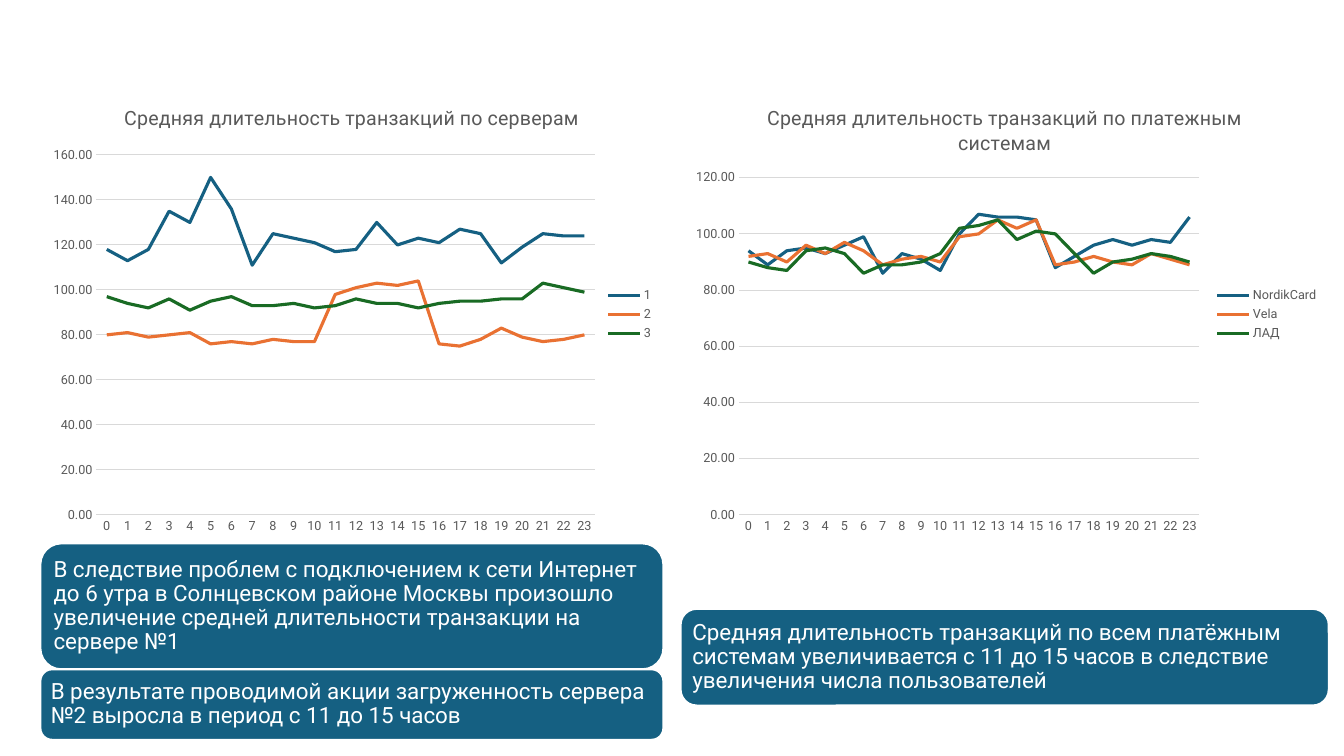
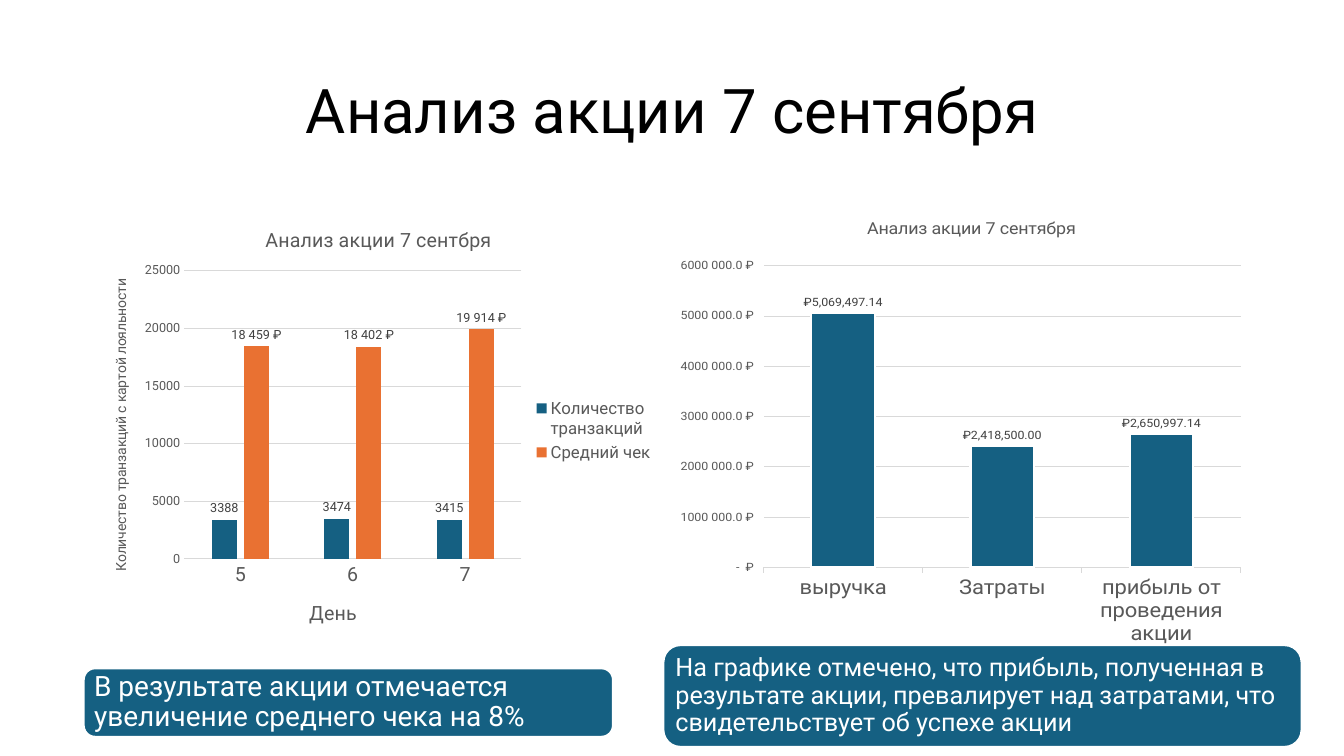
from dataclasses import dataclass
from typing import Optional

from pptx import Presentation
from pptx.chart.data import CategoryChartData
from pptx.dml.color import RGBColor
from pptx.enum.chart import XL_CHART_TYPE, XL_LABEL_POSITION, XL_LEGEND_POSITION, XL_TICK_MARK
from pptx.enum.shapes import MSO_SHAPE
from pptx.enum.text import MSO_ANCHOR, PP_ALIGN
from pptx.oxml import parse_xml
from pptx.oxml.ns import nsdecls
from pptx.util import Inches, Pt

FACE = "Roboto"
BLUE, ORANGE, GREEN = "156082", "E97132", "196B24"
WHITE, BLACK, GREY, DARK, RULE = "FFFFFF", "000000", "595959", "404040", "D9D9D9"
PALETTE = (BLUE, ORANGE, GREEN)
HOURS = tuple(str(hour) for hour in range(24))
ROUBLE = '#\\ ##0\\ "₽"'


@dataclass
class Series:
    name: str
    values: tuple
    format: str = "0"


@dataclass
class Graph:
    title: str
    area: tuple
    plot: tuple
    cats: tuple
    series: tuple
    top: float
    step: float
    format: str = "0.00"
    bars: bool = False
    size: int = 14
    label: int = 9
    legend: Optional[int] = 9
    gap: int = 150
    overlap: int = 0
    tick: XL_TICK_MARK = XL_TICK_MARK.NONE
    edge: bool = False
    below: str = ""
    side: str = ""


@dataclass
class Note:
    text: str
    area: tuple
    size: int = 16


def color(value: str) -> RGBColor:
    return RGBColor.from_string(value)


def style(font, size: float, tone: str) -> None:
    font.name = FACE
    font.size = Pt(size)
    font.bold = False
    font.color.rgb = color(tone)


def stroke(line, tone: str, width: float) -> None:
    line.color.rgb = color(tone)
    line.width = Pt(width)


def fill(shape, tone: str) -> None:
    shape.fill.solid()
    shape.fill.fore_color.rgb = color(tone)


def caption(owner, text: str, size: float) -> None:
    frame = owner.text_frame
    frame.text = text
    style(frame.paragraphs[0].font, size, GREY)


def place(chart, plot: tuple) -> None:
    area = chart.element.xpath(".//c:plotArea")[0]
    for old in area.xpath("./c:layout"):
        area.remove(old)
    sizes = "".join(f'<c:{key} val="{value}"/>' for key, value in zip("xywh", plot))
    area.insert(0, parse_xml(
        f'<c:layout {nsdecls("c")}><c:manualLayout><c:layoutTarget val="inner"/>'
        f'<c:xMode val="edge"/><c:yMode val="edge"/>{sizes}</c:manualLayout></c:layout>'))


def set_axes(chart, graph: Graph) -> None:
    base, scale = chart.category_axis, chart.value_axis
    for axis, size in ((base, graph.label), (scale, 9)):
        axis.major_tick_mark = graph.tick
        axis.minor_tick_mark = XL_TICK_MARK.NONE
        style(axis.tick_labels.font, size, GREY)
    stroke(base.format.line, RULE, 0.75)
    scale.format.line.fill.background()
    scale.has_major_gridlines = True
    stroke(scale.major_gridlines.format.line, RULE, 0.75)
    scale.minimum_scale = 0
    scale.maximum_scale = graph.top
    scale.major_unit = graph.step
    scale.tick_labels.number_format = graph.format
    scale.tick_labels.number_format_is_linked = False
    for axis, text, size in ((base, graph.below, 14), (scale, graph.side, 10)):
        axis.has_title = bool(text)
        if text:
            caption(axis.axis_title, text, size)


def set_bars(plot, graph: Graph) -> None:
    plot.gap_width = graph.gap
    plot.overlap = graph.overlap
    for item, data, tone in zip(plot.series, graph.series, PALETTE):
        fill(item.format, tone)
        if graph.edge:
            stroke(item.format.line, WHITE, 1.5)
        labels = item.data_labels
        labels.show_value = True
        labels.position = XL_LABEL_POSITION.OUTSIDE_END
        labels.number_format = data.format
        labels.number_format_is_linked = False
        style(labels.font, 9, DARK)


def add_graph(slide, graph: Graph) -> None:
    data = CategoryChartData()
    data.categories = graph.cats
    for item in graph.series:
        data.add_series(item.name, item.values)
    kind = XL_CHART_TYPE.COLUMN_CLUSTERED if graph.bars else XL_CHART_TYPE.LINE
    chart = slide.shapes.add_chart(kind, *map(Inches, graph.area), data).chart
    style(chart.font, 10, BLACK)
    chart.has_title = True
    caption(chart.chart_title, graph.title, graph.size)
    chart.has_legend = graph.legend is not None
    if graph.legend:
        chart.legend.position = XL_LEGEND_POSITION.RIGHT
        chart.legend.include_in_layout = False
        style(chart.legend.font, graph.legend, GREY)
    set_axes(chart, graph)
    place(chart, graph.plot)
    plot = chart.plots[0]
    plot.vary_by_categories = False
    if graph.bars:
        set_bars(plot, graph)
        return
    for item, tone in zip(plot.series, PALETTE):
        item.smooth = False
        stroke(item.format.line, tone, 2.25)


def add_note(slide, note: Note) -> None:
    box = slide.shapes.add_shape(MSO_SHAPE.ROUNDED_RECTANGLE, *map(Inches, note.area))
    box.shadow.inherit = False
    fill(box, BLUE)
    stroke(box.line, WHITE, 1.5)
    frame = box.text_frame
    frame.word_wrap = True
    frame.vertical_anchor = MSO_ANCHOR.MIDDLE
    frame.margin_left = frame.margin_right = Inches(0.07)
    frame.margin_top = frame.margin_bottom = Inches(0.07)
    frame.text = note.text
    para = frame.paragraphs[0]
    para.alignment = PP_ALIGN.LEFT
    para.line_spacing = 0.9
    style(para.font, note.size, WHITE)


def add_title(slide, text: str) -> None:
    title = slide.shapes.title
    title.left, title.top, title.width, title.height = map(Inches, (0.92, 0.4, 11.5, 1.45))
    frame = title.text_frame
    frame.word_wrap = True
    frame.vertical_anchor = MSO_ANCHOR.MIDDLE
    frame.text = text
    para = frame.paragraphs[0]
    para.alignment = PP_ALIGN.CENTER
    para.line_spacing = 0.9
    style(para.font, 44, BLACK)


def add_slide(deck, title: str, graphs: tuple, notes: tuple) -> None:
    slide = deck.slides.add_slide(deck.slide_layouts[5 if title else 6])
    if title:
        add_title(slide, title)
    for graph in graphs:
        add_graph(slide, graph)
    for note in notes:
        add_note(slide, note)


SERVERS = Graph(
    "Средняя длительность транзакций по серверам",
    (0.4, 0.86, 6.18, 4.52), (0.09, 0.15, 0.8, 0.79), HOURS,
    (
        Series("1", (118, 113, 118, 135, 130, 150, 136, 111, 125, 123, 121, 117,
                     118, 130, 120, 123, 121, 127, 125, 112, 119, 125, 124, 124)),
        Series("2", (80, 81, 79, 80, 81, 76, 77, 76, 78, 77, 77, 98,
                     101, 103, 102, 104, 76, 75, 78, 83, 79, 77, 78, 80)),
        Series("3", (97, 94, 92, 96, 91, 95, 97, 93, 93, 94, 92, 93,
                     96, 94, 94, 92, 94, 95, 95, 96, 96, 103, 101, 99)),
    ), 160, 20)

SYSTEMS = Graph(
    "Средняя длительность транзакций по платежным системам",
    (6.75, 0.86, 6.43, 4.52), (0.09, 0.2, 0.71, 0.74), HOURS,
    (
        Series("NordikCard", (94, 89, 94, 95, 93, 96, 99, 86, 93, 91, 87, 100,
                              107, 106, 106, 105, 88, 92, 96, 98, 96, 98, 97, 106)),
        Series("Vela", (92, 93, 90, 96, 93, 97, 94, 89, 91, 92, 90, 99,
                        100, 105, 102, 105, 89, 90, 92, 90, 89, 93, 91, 89)),
        Series("ЛАД", (90, 88, 87, 94, 95, 93, 86, 89, 89, 90, 93, 102,
                       103, 105, 98, 101, 100, 93, 86, 90, 91, 93, 92, 90)),
    ), 120, 20)

CHECKS = Graph(
    "Анализ акции 7 сентбря",
    (0.92, 2.07, 5.67, 4.4), (0.16, 0.14, 0.59, 0.65), ("5", "6", "7"),
    (
        Series("Количество транзакций", (3388, 3474, 3415)),
        Series("Средний чек", (18459, 18402, 19914), ROUBLE),
    ), 25000, 5000, "0", bars=True, label=14, legend=12, gap=219, overlap=-27,
    below="День", side="Количество транзакций с картой лояльности")

PROFIT = Graph(
    "Анализ акции 7 сентября",
    (6.75, 2, 5.67, 4.4), (0.13, 0.16, 0.85, 0.75),
    ("выручка", "Затраты", "прибыль от проведения акции"),
    (Series("Series 1", (5069497.14, 2418500, 2650997.14), '"₽"#,##0.00'),),
    6000000, 1000000, '#\\ ##0.0\\ "₽";-#\\ ##0.0\\ "₽";"-"\\ \\ "₽"',
    bars=True, size=13, label=16, legend=None, tick=XL_TICK_MARK.OUTSIDE, edge=True)

LOAD_NOTES = (
    Note("В следствие проблем с подключением к сети Интернет до 6 утра в Солнцевском районе "
         "Москвы произошло увеличение средней длительности транзакции на сервере №1",
         (0.4, 5.39, 6.18, 1.25)),
    Note("В результате проводимой акции загруженность сервера №2 выросла в период "
         "с 11 до 15 часов", (0.4, 6.64, 6.18, 0.7)),
    Note("Средняя длительность транзакций по всем платёжным системам увеличивается "
         "с 11 до 15 часов в следствие увеличения числа пользователей",
         (6.75, 6.04, 6.43, 0.96)),
)

PROMO_NOTES = (
    Note("В результате акции отмечается увеличение среднего чека на 8%",
         (0.83, 6.63, 5.25, 0.68), 20),
    Note("На графике отмечено, что прибыль, полученная в результате акции, превалирует "
         "над затратами, что свидетельствует об успехе акции",
         (6.58, 6.4, 6.33, 1.01), 18),
)


def main() -> None:
    deck = Presentation()
    deck.slide_width, deck.slide_height = Inches(13.33), Inches(7.5)
    add_slide(deck, "", (SERVERS, SYSTEMS), LOAD_NOTES)
    add_slide(deck, "Анализ акции 7 сентября", (CHECKS, PROFIT), PROMO_NOTES)
    deck.save("out.pptx")


if __name__ == "__main__":
    main()
